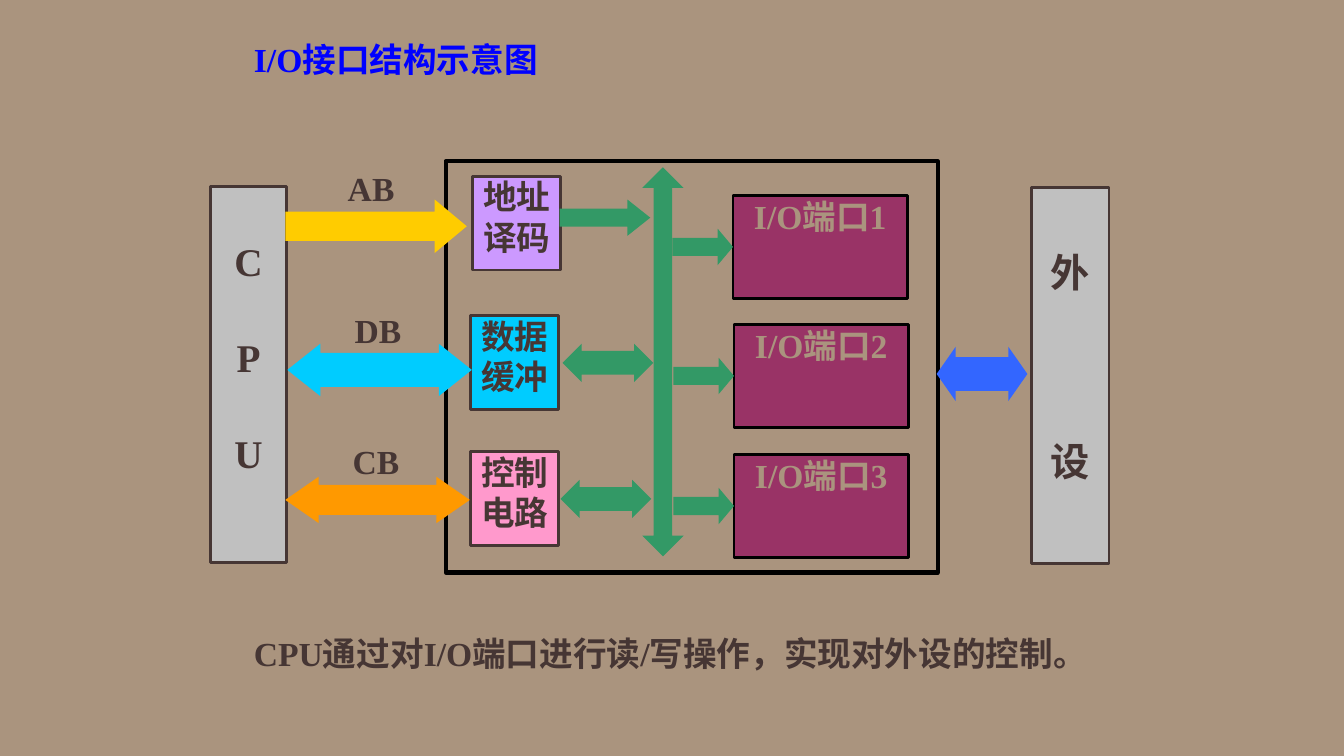
from dataclasses import dataclass

from pptx import Presentation
from pptx.dml.color import RGBColor
from pptx.enum.shapes import MSO_SHAPE
from pptx.enum.text import MSO_ANCHOR, PP_ALIGN
from pptx.util import Inches, Pt

RECT = MSO_SHAPE.RECTANGLE
RIGHT = MSO_SHAPE.RIGHT_ARROW
BOTH = MSO_SHAPE.LEFT_RIGHT_ARROW
UP_DOWN = MSO_SHAPE.UP_DOWN_ARROW
TOP = MSO_ANCHOR.TOP
LEFT, CENTER = PP_ALIGN.LEFT, PP_ALIGN.CENTER

FONT = "Times New Roman"
SAND, BROWN, BLACK, GREY = "AA947E", "463634", "000000", "C0C0C0"
BLUE, GREEN, PLUM = "0000FF", "339966", "993366"


@dataclass
class Box:
    x: float
    y: float
    w: float
    h: float
    fill: str
    line: str = BROWN
    line_pt: float = 2
    lines: tuple[str, ...] = ()
    size: float = 24
    color: str = BROWN
    top: float = 0
    gap_pt: float = 0


@dataclass
class Arrow:
    kind: MSO_SHAPE
    x: float
    y: float
    w: float
    h: float
    fill: str
    shaft: float
    head: float


@dataclass
class Label:
    text: str
    x: float
    y: float
    w: float
    h: float
    color: str = BROWN
    align: PP_ALIGN = CENTER
    inset: float = 0


def rgb(value: str) -> RGBColor:
    return RGBColor.from_string(value)


def set_text(sp, lines: tuple[str, ...], size: float, color: str, align=CENTER,
             inset: float = 0, top: float = 0, gap_pt: float = 0) -> None:
    tf = sp.text_frame
    frame_format = {
        "word_wrap": True, "vertical_anchor": TOP,
        "margin_left": Inches(inset), "margin_right": Inches(inset),
        "margin_top": Inches(top), "margin_bottom": 0,
    }
    for name, value in frame_format.items():
        setattr(tf, name, value)
    font_format = {"name": FONT, "size": Pt(size), "bold": True}
    for i, line in enumerate(lines):
        p = tf.add_paragraph() if i else tf.paragraphs[0]
        p.alignment = align
        if i:
            p.space_before = Pt(gap_pt)
        r = p.add_run()
        r.text = line
        for name, value in font_format.items():
            setattr(r.font, name, value)
        r.font.color.rgb = rgb(color)


def add_filled(s, kind, item: Box | Arrow):
    sp = s.shapes.add_shape(kind, Inches(item.x), Inches(item.y),
                            Inches(item.w), Inches(item.h))
    sp.shadow.inherit = False
    sp.fill.solid()
    sp.fill.fore_color.rgb = rgb(item.fill)
    return sp


def add_box(s, box: Box) -> None:
    sp = add_filled(s, RECT, box)
    sp.line.color.rgb = rgb(box.line)
    sp.line.width = Pt(box.line_pt)
    if box.lines:
        set_text(sp, box.lines, box.size, box.color, top=box.top, gap_pt=box.gap_pt)


def add_arrow(s, arrow: Arrow) -> None:
    sp = add_filled(s, arrow.kind, arrow)
    sp.line.fill.background()
    sp.adjustments[0] = arrow.shaft
    sp.adjustments[1] = arrow.head


def add_label(s, label: Label) -> None:
    sp = s.shapes.add_textbox(Inches(label.x), Inches(label.y),
                              Inches(label.w), Inches(label.h))
    set_text(sp, (label.text,), 24, label.color, label.align,
             inset=label.inset, top=label.inset / 2)


INTERFACE = Box(4.42, 1.6, 4.88, 4.08, SAND, BLACK, 3)
BUS = Arrow(UP_DOWN, 6.37, 1.66, 0.41, 3.86, GREEN, 0.53, 0.45)
PORT_XY = [(7.27, 1.94), (7.28, 3.22), (7.28, 4.51)]
UNITS = [
    Box(4.69, 1.75, 0.87, 0.93, "CC99FF", lines=("地址", "译码")),
    Box(4.67, 3.13, 0.87, 0.93, "00CCFF", lines=("数据", "缓冲")),
    Box(4.67, 4.48, 0.87, 0.93, "FF99CC", lines=("控制", "电路")),
]
ENDS = [
    Box(2.09, 1.85, 0.75, 3.73, GREY, lines=("C", "P", "U"),
        size=28, top=0.5, gap_pt=35.3),
    Box(10.23, 1.86, 0.77, 3.73, GREY, lines=("外", "设"),
        size=28, top=0.6, gap_pt=101.5),
]
ARROWS = [
    Arrow(RIGHT, 5.55, 1.98, 0.9, 0.36, GREEN, 0.5, 0.63),
    Arrow(BOTH, 5.58, 3.41, 0.9, 0.38, GREEN, 0.62, 0.5),
    Arrow(BOTH, 5.56, 4.76, 0.9, 0.38, GREEN, 0.62, 0.5),
    Arrow(BOTH, 9.29, 3.44, 0.9, 0.54, "3366FF", 0.62, 0.35),
    Arrow(RIGHT, 2.83, 1.98, 1.8, 0.53, "FFCC00", 0.55, 0.6),
    Arrow(BOTH, 2.85, 3.41, 1.83, 0.52, "00CCFF", 0.65, 0.63),
    Arrow(BOTH, 2.83, 4.73, 1.83, 0.46, "FF9900", 0.65, 0.72),
]
LABELS = [
    Label("I/O接口结构示意图", 2.42, 0.34, 7, 0.5, BLUE, LEFT, 0.1),
    Label("CPU通过对I/O端口进行读/写操作，实现对外设的控制。",
          2.42, 6.23, 8.58, 0.5, BROWN, LEFT, 0.1),
    Label("AB", 3.27, 1.67, 0.82, 0.38),
    Label("DB", 3.42, 3.07, 0.66, 0.36),
    Label("CB", 3.41, 4.37, 0.64, 0.38),
]


def main() -> None:
    prs = Presentation()
    prs.slide_width, prs.slide_height = Inches(13.33), Inches(7.5)
    s = prs.slides.add_slide(prs.slide_layouts[6])
    s.background.fill.solid()
    s.background.fill.fore_color.rgb = rgb(SAND)

    add_box(s, INTERFACE)
    add_arrow(s, BUS)
    for number, (x, y) in enumerate(PORT_XY, 1):
        add_box(s, Box(x, y, 1.73, 1.02, PLUM, BLACK,
                       lines=(f"I/O端口{number}",), color=SAND))
        add_arrow(s, Arrow(RIGHT, x - 0.6, y + 0.33, 0.6, 0.36, GREEN, 0.5, 0.42))
    for box in UNITS + ENDS:
        add_box(s, box)
    for arrow in ARROWS:
        add_arrow(s, arrow)
    for label in LABELS:
        add_label(s, label)
    prs.save("out.pptx")


if __name__ == "__main__":
    main()
